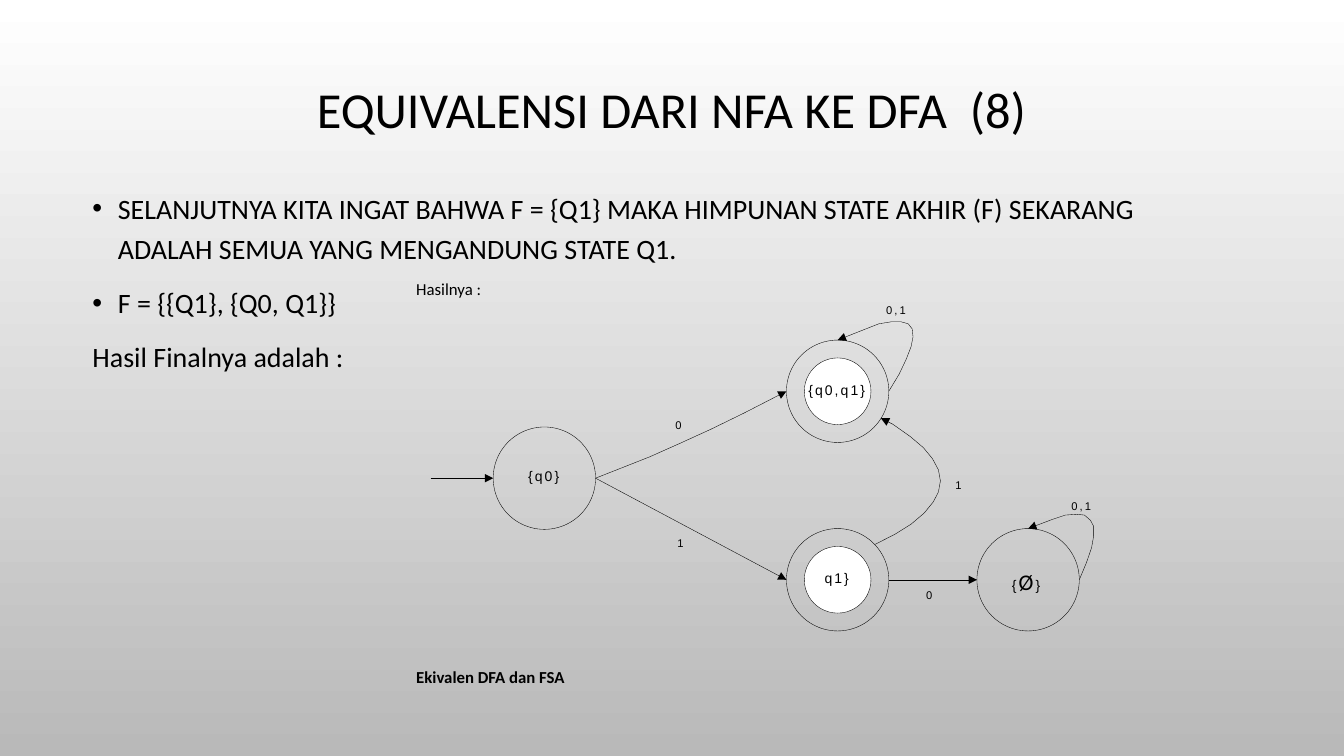
from lxml import etree
from pptx import Presentation
from pptx.dml.color import RGBColor
from pptx.enum.shapes import MSO_CONNECTOR, MSO_SHAPE
from pptx.enum.text import MSO_ANCHOR, PP_ALIGN
from pptx.oxml.ns import qn
from pptx.util import Cm, Pt

COLORS = {"ink": "000000", "white": "FFFFFF", "grey": "B9B9B9"}
RGB = {name: RGBColor.from_string(value) for name, value in COLORS.items()}

prs = Presentation()
prs.slide_width, prs.slide_height = Cm(33.87), Cm(19.05)
s = prs.slides.add_slide(prs.slide_layouts[6])

# Background
fill = s.background.fill
fill.gradient()
fill.gradient_angle = 270
for stop, name in zip(fill.gradient_stops, ("white", "grey")):
    stop.color.rgb = RGB[name]


def add_label(x, y, w, h, runs, bold=False, spacing=0):
    """Text box without margins; runs are (text, size, font)."""
    tf = s.shapes.add_textbox(Cm(x), Cm(y), Cm(w), Cm(h)).text_frame
    tf.word_wrap = True
    tf.margin_left = tf.margin_right = tf.margin_top = tf.margin_bottom = 0
    p = tf.paragraphs[0]
    p.line_spacing, p.space_after = 1.07, Pt(8)
    for text, size, font in runs:
        r = p.add_run()
        r.text = text
        r.font.size, r.font.name, r.font.bold = Pt(size), font, bold
        r.font.color.rgb = RGB["ink"]
        if spacing:
            r._r.get_or_add_rPr().set("spc", str(spacing))


def style_arrow(sp):
    """Thin black line with a triangle at its end and no shadow."""
    sp.line.color.rgb = RGB["ink"]
    sp.line.width = Pt(0.25)
    ln = sp.line._get_or_add_ln()
    etree.SubElement(ln, qn("a:tailEnd"), type="triangle", w="med", len="med")
    etree.SubElement(sp._element.spPr, qn("a:effectLst"))


# Title
tf = s.shapes.add_textbox(Cm(2.54), Cm(1.73), Cm(28.78), Cm(2.18)).text_frame
tf.word_wrap = True
tf.vertical_anchor = MSO_ANCHOR.MIDDLE
p = tf.paragraphs[0]
p.text = "EQUIVALENSI DARI NFA KE DFA  (8)"
p.alignment, p.line_spacing = PP_ALIGN.CENTER, 0.9
p.font.size, p.font.name = Pt(36), "Calibri"
p.font.color.rgb = RGB["ink"]

# Body text
body = [
    ("SELANJUTNYA KITA INGAT BAHWA F = {Q1} MAKA HIMPUNAN STATE AKHIR (F) "
     "SEKARANG ADALAH SEMUA YANG MENGANDUNG STATE Q1.", True),
    ("F = {{Q1}, {Q0, Q1}}", True),
    ("Hasil Finalnya adalah :", False),
]
tf = s.shapes.add_textbox(Cm(2.08), Cm(4.52), Cm(28.78), Cm(13.26)).text_frame
tf.word_wrap = True
for i, (text, bulleted) in enumerate(body):
    p = tf.add_paragraph() if i else tf.paragraphs[0]
    p.text = text
    p.line_spacing, p.space_before = 1.2, Pt(10)
    p.font.size, p.font.name = Pt(20), "Calibri"
    p.font.color.rgb = RGB["ink"]
    if bulleted:
        pPr = p._p.get_or_add_pPr()
        pPr.set("marL", str(Cm(0.64)))
        pPr.set("indent", str(-Cm(0.64)))
        bullet_font = etree.Element(qn("a:buFont"), typeface="Arial")
        bullet = etree.Element(qn("a:buChar"), char="•")
        pPr.find(qn("a:spcBef")).addnext(bullet_font)
        bullet_font.addnext(bullet)

# Captions around the diagram
add_label(10.49, 6.99, 2.87, 0.74, [("Hasilnya :", 12, "Calibri")])
add_label(10.49, 16.76, 6.71, 0.74, [("Ekivalen DFA dan FSA", 12, "Calibri")], bold=True)

# States: centre and whether final
R, R_INNER = 1.29, 0.84
START, BOTH, Q1, EMPTY = (13.72, 12.05), (21.11, 9.86), (21.11, 14.61), (25.91, 14.61)
for (x, y), final in ((START, False), (BOTH, True), (Q1, True), (EMPTY, False)):
    for radius in (R, R_INNER) if final else (R,):
        sp = s.shapes.add_shape(MSO_SHAPE.OVAL, Cm(x - radius), Cm(y - radius),
                                Cm(2 * radius), Cm(2 * radius))
        sp.shadow.inherit = False
        sp.line.color.rgb = RGB["ink"]
        sp.line.width = Pt(0.25)
        if radius == R_INNER:
            sp.fill.solid()
            sp.fill.fore_color.rgb = RGB["white"]
        else:
            sp.fill.background()

# Straight transitions
straight = [
    ((10.85, START[1]), (START[0] - R, START[1])),
    ((START[0] + R, START[1]), (Q1[0] - R, Q1[1])),
    ((Q1[0] + R, Q1[1]), (EMPTY[0] - R, EMPTY[1])),
]
for (x1, y1), (x2, y2) in straight:
    style_arrow(s.shapes.add_connector(MSO_CONNECTOR.STRAIGHT,
                                       Cm(x1), Cm(y1), Cm(x2), Cm(y2)))

# Curved transitions: points relative to the state they leave
curved = [
    (START, [(1.29, 0), (1.95, -0.26), (2.66, -0.54), (3.4, -0.87),
             (4.19, -1.23), (5.03, -1.64), (6.1, -2.19)]),
    (Q1, [(0.94, -0.89), (1.45, -1.15), (1.85, -1.4), (2.18, -1.68),
          (2.41, -1.96), (2.54, -2.21), (2.59, -2.49), (2.54, -2.77),
          (2.39, -3.05), (2.16, -3.33), (1.83, -3.61), (1.39, -3.92),
          (1.09, -4.07)]),
    (BOTH, [(1.29, 0), (1.55, -0.43), (1.73, -0.81), (1.85, -1.12),
            (1.9, -1.37), (1.88, -1.57), (1.78, -1.7), (1.6, -1.75),
            (1.35, -1.75), (1.04, -1.7), (0.66, -1.55), (0, -1.29)]),
    (EMPTY, [(1.29, 0), (1.47, -0.43), (1.6, -0.81), (1.65, -1.09),
             (1.65, -1.35), (1.57, -1.5), (1.42, -1.63), (1.22, -1.65),
             (0.94, -1.63), (0.61, -1.52), (0, -1.29)]),
]
for (x, y), offsets in curved:
    points = [(Cm(x + dx), Cm(y + dy)) for dx, dy in offsets]
    builder = s.shapes.build_freeform(*points[0])
    builder.add_line_segments(points[1:], close=False)
    sp = builder.convert_to_shape()
    sp.fill.background()
    style_arrow(sp)

# State names
for text, x, y in (("{q0}", 13.31, 11.76), ("{q0,q1}", 20.37, 9.58), ("q1}", 20.78, 14.33)):
    add_label(x, y, 2, 0.66, [(text, 10, "Arial")], spacing=150)
add_label(25.5, 14.27, 1.2, 0.99,
          [("{", 10, "Arial"), ("Ø", 16, "Calibri"), ("}", 10, "Arial")], spacing=150)

# Transition symbols
symbols = [("0", 17.02, 10.52), ("1", 17.07, 13.49), ("0,1", 22.33, 7.62),
           ("1", 24.08, 12.04), ("0", 23.34, 14.81), ("0,1", 27, 12.55)]
for text, x, y in symbols:
    add_label(x, y, 0.8, 0.53, [(text, 8, "Arial")], spacing=150)

prs.save("out.pptx")
